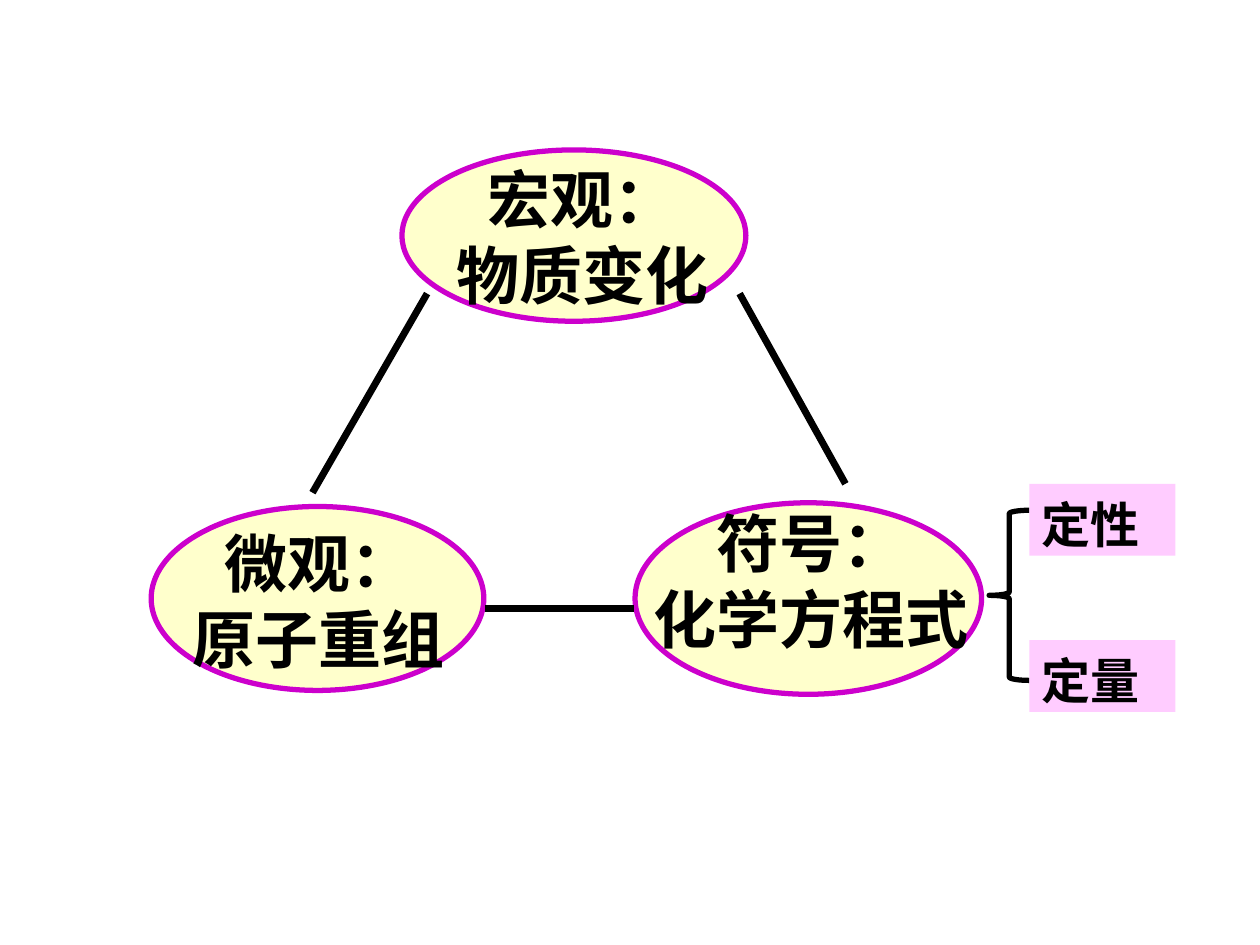
from lxml import etree
from pptx import Presentation
from pptx.dml.color import RGBColor
from pptx.enum.shapes import MSO_CONNECTOR as CONNECTOR, MSO_SHAPE as SHAPE
from pptx.enum.text import MSO_ANCHOR as ANCHOR, MSO_AUTO_SIZE as AUTO_SIZE, PP_ALIGN as ALIGN
from pptx.oxml.ns import qn
from pptx.util import Inches, Pt

FONT = "Noto Sans CJK SC"
BLACK = RGBColor(0x00, 0x00, 0x00)
PINK = RGBColor(0xFF, 0xCC, 0xFF)
CREAM = RGBColor(0xFF, 0xFF, 0xCC)
PURPLE = RGBColor(0xCC, 0x00, 0xCC)
LINE_HEIGHT = 1.21


def write(sp, text, size=36, align=ALIGN.CENTER):
    """Fill a shape with bold text, one paragraph per line."""
    tf = sp.text_frame
    tf.word_wrap = True
    tf.auto_size = AUTO_SIZE.SHAPE_TO_FIT_TEXT
    tf.vertical_anchor = ANCHOR.TOP
    tf.margin_top, tf.margin_bottom = Inches(0.08), Inches(0.02)
    for i, line in enumerate(text.split("\n")):
        p = tf.paragraphs[0] if i == 0 else tf.add_paragraph()
        p.alignment = align
        p.line_spacing = Pt(size * LINE_HEIGHT)
        r = p.add_run()
        r.text = line
        r.font.name, r.font.size, r.font.bold = FONT, Pt(size), True
        r.font.color.rgb = BLACK
        ea = etree.SubElement(r.font._element, qn("a:ea"))
        ea.set("typeface", FONT)


def add_shape(shapes, kind, box, fill=None, line=None):
    """Add a preset shape with an optional fill and 3 pt outline."""
    sp = shapes.add_shape(kind, *map(Inches, box))
    sp.shadow.inherit = False
    if fill is None:
        sp.fill.background()
    else:
        sp.fill.solid()
        sp.fill.fore_color.rgb = fill
    if line is None:
        sp.line.fill.background()
    else:
        sp.line.color.rgb = line
        sp.line.width = Pt(3)
    return sp


def add_line(shapes, start, end):
    """Add a thick black line between two points."""
    cn = shapes.add_connector(CONNECTOR.STRAIGHT, *map(Inches, start + end))
    cn.line.color.rgb = BLACK
    cn.line.width = Pt(4)
    etree.SubElement(cn._element.spPr, qn("a:effectLst"))


def add_label(shapes, left, top, text):
    """Add a centred two-line label."""
    write(shapes.add_textbox(Inches(left), Inches(top), Inches(3.06), Inches(1.31)), text)


def add_aspects(shapes):
    """Add the brace with its two tagged aspects as one group."""
    group = shapes.add_group_shape().shapes
    add_shape(group, SHAPE.LEFT_BRACE, (7.85, 4.05, 0.32, 1.35), line=BLACK)
    for top, text in ((3.84, "定性"), (5.08, "定量")):
        tag = add_shape(group, SHAPE.RECTANGLE, (8.17, top, 1.16, 0.57), fill=PINK)
        write(tag, text, size=28, align=ALIGN.LEFT)


def main():
    """Build the slide."""
    prs = Presentation()
    prs.slide_width, prs.slide_height = Inches(10), Inches(7.5)
    shapes = prs.slides.add_slide(prs.slide_layouts[6]).shapes

    add_aspects(shapes)
    for box in ((3.19, 1.19, 2.73, 1.36), (1.2, 4.02, 2.64, 1.46), (5.04, 3.99, 2.75, 1.52)):
        add_shape(shapes, SHAPE.OVAL, box, fill=CREAM, line=PURPLE)
    for start, end in (((3.39, 2.33), (2.48, 3.91)),
                       ((5.03, 4.83), (3.85, 4.83)),
                       ((5.87, 2.33), (6.71, 3.84))):
        add_line(shapes, start, end)
    for left, top, text in ((3.09, 1.19, "宏观：\n物质变化"),
                            (1, 4.08, "微观：\n原子重组"),
                            (4.91, 3.92, "符号：\n化学方程式")):
        add_label(shapes, left, top, text)

    prs.save("out.pptx")


main()
